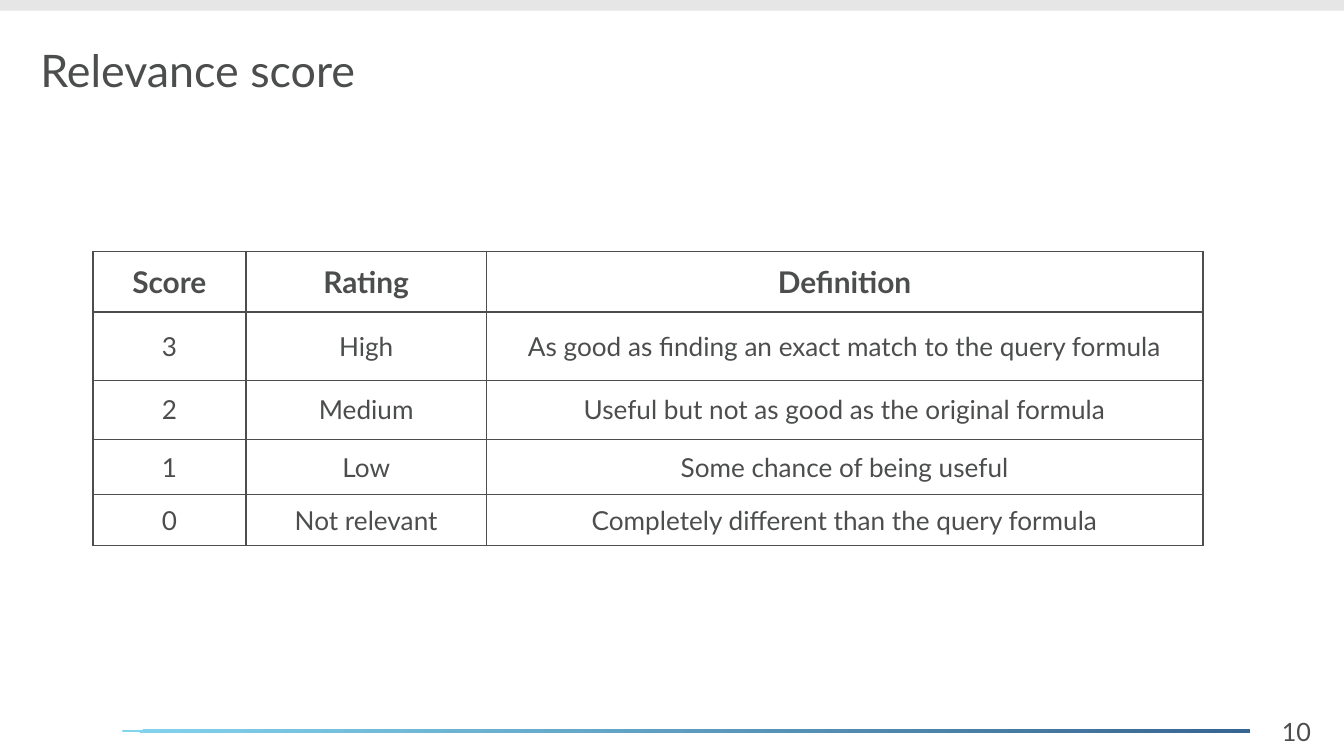
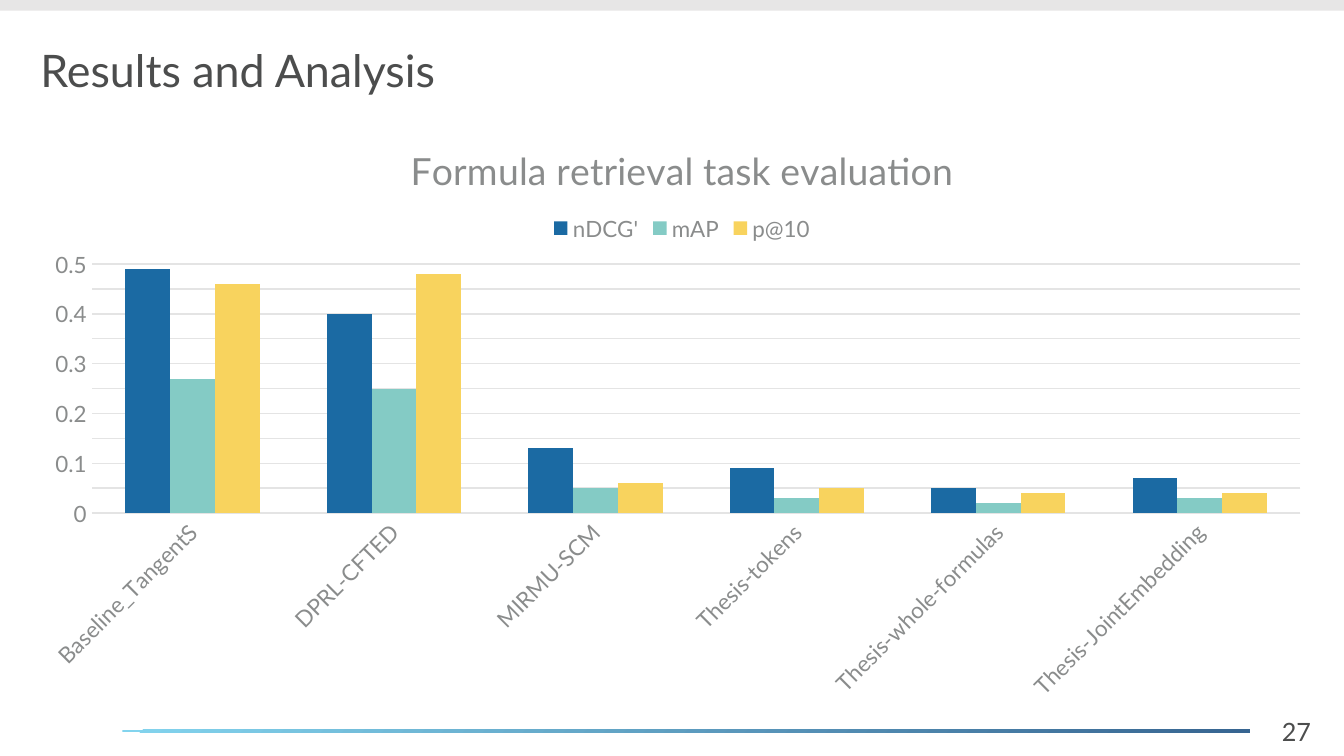
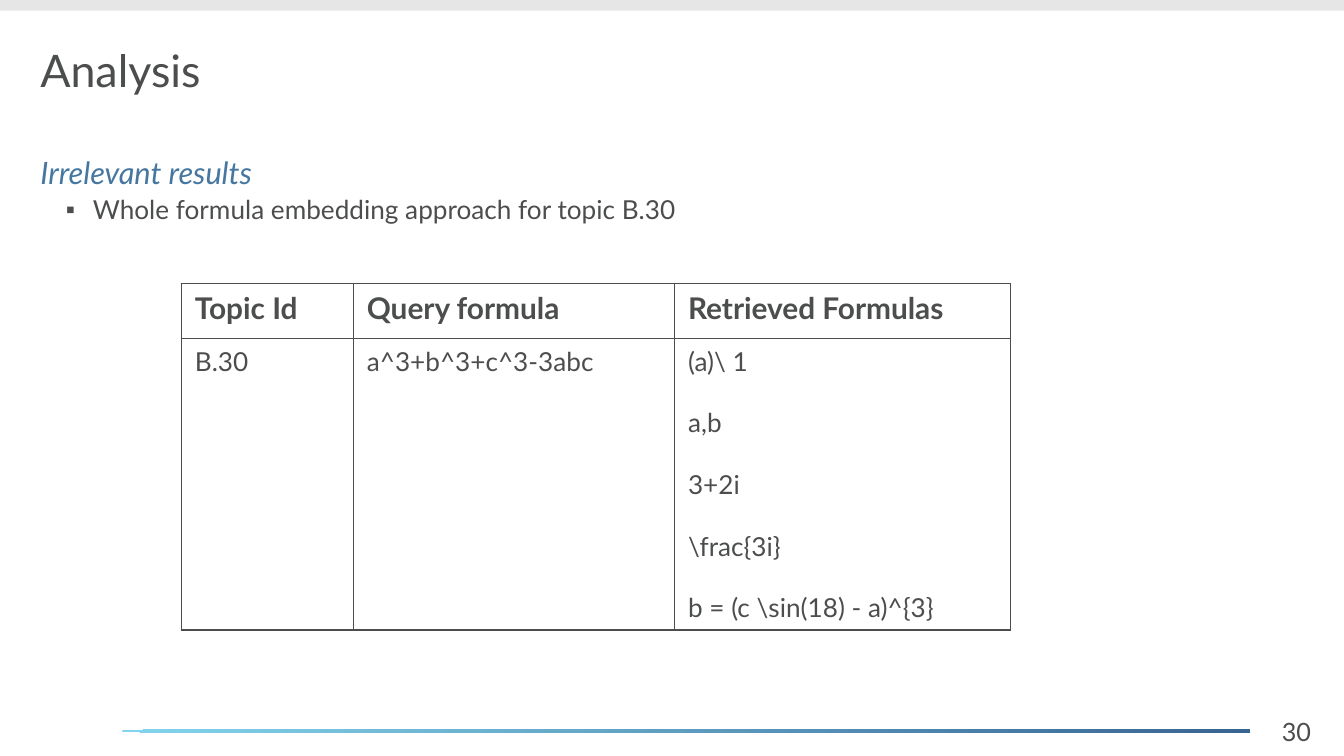
from copy import deepcopy

from lxml.etree import SubElement
from pptx import Presentation
from pptx.chart.data import CategoryChartData
from pptx.dml.color import RGBColor
from pptx.enum.chart import XL_CHART_TYPE as ChartType
from pptx.enum.chart import XL_LEGEND_POSITION as LegendPosition
from pptx.enum.chart import XL_TICK_MARK as TickMark
from pptx.enum.shapes import MSO_SHAPE as Shape
from pptx.enum.text import MSO_ANCHOR as Anchor
from pptx.enum.text import MSO_AUTO_SIZE as AutoSize
from pptx.enum.text import PP_ALIGN as Align
from pptx.oxml.ns import qn
from pptx.util import Inches, Pt

# Shared style
FONT = "Lato"
INK = RGBColor(0x4C, 0x4D, 0x4D)
MUTED = RGBColor(0x8A, 0x8C, 0x8C)
BAND = RGBColor(0xE7, 0xE6, 0xE6)
GRIDLINE = RGBColor(0xE4, 0xE4, 0xE4)
SKY = RGBColor(0x83, 0xD4, 0xEE)
NAVY = RGBColor(0x37, 0x65, 0x91)
HEADING = RGBColor(0x46, 0x77, 0xA0)
SERIES_COLOURS = (RGBColor(0x1B, 0x6A, 0xA3), RGBColor(0x84, 0xCB, 0xC5),
                  RGBColor(0xF8, 0xD3, 0x5E))

# The slide is a grid of square cells, 100 columns wide
COLUMNS, ROWS = 100, 56.25
TITLE_ONLY, TITLE_AND_BODY = 5, 1


def grid(*cells):
    """Turn grid columns or rows into lengths."""
    return [Inches(cell / 10) for cell in cells]


def style_font(font, size, color=INK, bold=False, italic=False):
    font.name, font.size = FONT, Pt(size)
    font.bold, font.italic = bold, italic
    font.color.rgb = color


def write(paragraph, text, align=Align.LEFT, spacing=None, before=0, **font):
    """Put one formatted run of text in a paragraph."""
    paragraph.alignment = align
    paragraph.space_before = Pt(before)
    if spacing:
        paragraph.line_spacing = spacing
    run = paragraph.add_run()
    run.text = text
    style_font(run.font, **font)


def set_bullet(paragraph, left, hanging=0, character=None):
    properties = paragraph._p.get_or_add_pPr()
    properties.set("marL", str(grid(left)[0]))
    properties.set("indent", str(-grid(hanging)[0]))
    if character:
        SubElement(properties, qn("a:buChar")).set("char", character)
    else:
        SubElement(properties, qn("a:buNone"))


def set_borders(cell, color=INK, width=1):
    properties = cell._tc.get_or_add_tcPr()
    for index, side in enumerate(("a:lnL", "a:lnR", "a:lnT", "a:lnB")):
        line = properties.makeelement(qn(side), {"w": str(Pt(width))})
        fill = SubElement(line, qn("a:solidFill"))
        SubElement(fill, qn("a:srgbClr")).set("val", str(color))
        properties.insert(index, line)


def place_in_chart(element, index, **shares):
    """Fix a chart part's position as shares of the chart's size."""
    for layout in element.findall(qn("c:layout")):
        element.remove(layout)
    layout = element.makeelement(qn("c:layout"), {})
    element.insert(index, layout)
    manual = SubElement(layout, qn("c:manualLayout"))
    if "w" in shares:
        SubElement(manual, qn("c:layoutTarget")).set("val", "inner")
    for axis in ("x", "y"):
        SubElement(manual, qn(f"c:{axis}Mode")).set("val", "edge")
    for name, share in shares.items():
        SubElement(manual, qn(f"c:{name}")).set("val", str(share))


class Deck:
    """Holds the presentation's style and the current slide."""

    def __init__(self):
        self.presentation = Presentation()
        (self.presentation.slide_width,
         self.presentation.slide_height) = grid(COLUMNS, ROWS)
        self.slide = None

    def new_slide(self, title, number, layout=TITLE_ONLY):
        layouts = self.presentation.slide_layouts
        self.slide = self.presentation.slides.add_slide(layouts[layout])
        # Top band and footer rule
        band = self.bar(0, 0, COLUMNS, 0.8)
        band.solid()
        band.fore_color.rgb = BAND
        rule = self.bar(9.1, 54.3, 83.9, 0.2)
        rule.gradient()
        rule.gradient_angle = 315
        for stop, color, position in zip(rule.gradient_stops, (SKY, NAVY), (0, 1)):
            stop.color.rgb, stop.position = color, position
        # Page number
        box = self.slide.shapes.add_textbox(*grid(93.5, 52.8, 5.9, 3.3))
        box.text_frame.word_wrap = True
        write(box.text_frame.paragraphs[0], number, size=13.5, align=Align.CENTER)
        # Title
        frame = self.fit(self.slide.shapes.title, 2, 3.1, 70.9, 4.7)
        frame.vertical_anchor = Anchor.MIDDLE
        write(frame.paragraphs[0], title, size=24, spacing=0.9)

    def bar(self, *box):
        shape = self.slide.shapes.add_shape(Shape.RECTANGLE, *grid(*box))
        shape.shadow.inherit = False
        shape.line.fill.background()
        return shape.fill

    def fit(self, placeholder, *box):
        (placeholder.left, placeholder.top,
         placeholder.width, placeholder.height) = grid(*box)
        frame = placeholder.text_frame
        frame.word_wrap, frame.auto_size = True, AutoSize.NONE
        return frame

    def body(self, heading, *points):
        frame = self.fit(self.slide.placeholders[1], 2, 10.6, 96.1, 41.3)
        frame.margin_left = 0
        frame.vertical_anchor = Anchor.TOP
        paragraph = frame.paragraphs[0]
        write(paragraph, heading, size=16.5, color=HEADING, italic=True,
              spacing=Pt(22), before=7.5)
        set_bullet(paragraph, 1)
        for point in points:
            paragraph = frame.add_paragraph()
            paragraph.level = 1
            write(paragraph, point, size=14, spacing=0.9, before=3.8)
            set_bullet(paragraph, 4.9, 2, "▪")

    def table(self, left, top, widths, heights, rows, align=Align.LEFT,
              middle=lambda text: True):
        """Draw a ruled table; a line break in a cell starts a paragraph."""
        table = self.slide.shapes.add_table(
            len(heights), len(widths),
            *grid(left, top, sum(widths), sum(heights))).table
        table.first_row = table.horz_banding = False
        for column, width in zip(table.columns, grid(*widths)):
            column.width = width
        for row, height, texts in zip(table.rows, grid(*heights), rows):
            row.height = height
            header = texts is rows[0]
            for cell, text in zip(row.cells, texts):
                cell.fill.background()
                set_borders(cell)
                cell.vertical_anchor = Anchor.MIDDLE if middle(text) else Anchor.TOP
                frame = cell.text_frame
                for index, line in enumerate(text.split("\n")):
                    paragraph = frame.add_paragraph() if index else frame.paragraphs[0]
                    write(paragraph, line, align=align, bold=header,
                          size=16 if header else 14, before=16.2 if index else 0)

    def column_chart(self, box, title, categories, series):
        data = CategoryChartData()
        data.categories = categories
        for name, values in series.items():
            data.add_series(name, values)
        chart = self.slide.shapes.add_chart(
            ChartType.COLUMN_CLUSTERED, *grid(*box), data).chart
        style_font(chart.font, 10)
        # Title and legend
        chart.has_title = True
        write(chart.chart_title.text_frame.paragraphs[0], title, size=20,
              color=MUTED, align=Align.CENTER)
        chart.has_legend = True
        chart.legend.position = LegendPosition.TOP
        chart.legend.include_in_layout = False
        style_font(chart.legend.font, 12, MUTED)
        # Columns
        plot = chart.plots[0]
        plot.gap_width, plot.overlap, plot.vary_by_categories = 150, 0, False
        for item, color in zip(plot.series, SERIES_COLOURS):
            item.format.fill.solid()
            item.format.fill.fore_color.rgb = color
        # Axes
        category_axis, value_axis = chart.category_axis, chart.value_axis
        for axis in (category_axis, value_axis):
            axis.major_tick_mark = axis.minor_tick_mark = TickMark.NONE
            style_font(axis.tick_labels.font, 12, MUTED)
        labels = category_axis._element.find(qn("c:txPr")).find(qn("a:bodyPr"))
        labels.set("rot", "-2700000")
        labels.set("vert", "horz")
        value_axis.minimum_scale, value_axis.maximum_scale = 0, 0.5
        value_axis.major_unit, value_axis.minor_unit = 0.1, 0.05
        value_axis.format.line.fill.background()
        for part in (category_axis, value_axis.major_gridlines):
            part.format.line.color.rgb = GRIDLINE
            part.format.line.width = Pt(0.75)
        # Minor gridlines share the look of the major ones
        value_axis.has_minor_gridlines = True
        major, minor = (value_axis._element.find(qn(f"c:{kind}Gridlines"))
                        for kind in ("major", "minor"))
        minor.append(deepcopy(major.find(qn("c:spPr"))))
        # Positions inside the chart
        place_in_chart(chart.chart_title._element, 1, x=0.29, y=0.05)
        place_in_chart(chart.legend._element, 1, x=0.4, y=0.17)
        plot_area = chart._chartSpace.chart.plotArea
        place_in_chart(plot_area, 0, x=0.05, y=0.26, w=0.93, h=0.41)


deck = Deck()

# Relevance score
deck.new_slide("Relevance score", "10")
deck.table(6.9, 18.7, (11.4, 17.9, 53.3), (4.5, 5.1, 4.4, 4.1, 3.8), (
    ("Score", "Rating", "Definition"),
    ("3", "High", "As good as finding an exact match to the query formula"),
    ("2", "Medium", "Useful but not as good as the original formula"),
    ("1", "Low", "Some chance of being useful"),
    ("0", "Not relevant", "Completely different than the query formula"),
), align=Align.CENTER)

# Results and analysis
deck.new_slide("Results and Analysis", "27")
deck.column_chart(
    (2, 7.9, 96.7, 45.2), "Formula retrieval task evaluation",
    ("Baseline_TangentS", "DPRL-CFTED", "MIRMU-SCM", "Thesis-tokens",
     "Thesis-whole-formulas", "Thesis-JointEmbedding"),
    {"nDCG'": (0.49, 0.4, 0.13, 0.09, 0.05, 0.07),
     "mAP": (0.27, 0.25, 0.05, 0.03, 0.02, 0.03),
     "p@10": (0.46, 0.48, 0.06, 0.05, 0.04, 0.04)})

# Analysis of irrelevant results
deck.new_slide("Analysis", "30", TITLE_AND_BODY)
deck.body("Irrelevant results", "Whole formula embedding approach for topic B.30")
retrieved = "\n".join(("(a)\\ 1", "a,b", "3+2i", "\\frac{3i}",
                       "b = (c \\sin(18) - a)^{3}"))
deck.table(13.5, 21.1, (12.8, 23.9, 25), (4.1, 21.6), (
    ("Topic Id", "Query formula", "Retrieved Formulas"),
    ("B.30", "a^3+b^3+c^3-3abc", retrieved),
), middle=lambda text: text == retrieved)

deck.presentation.save("out.pptx")
